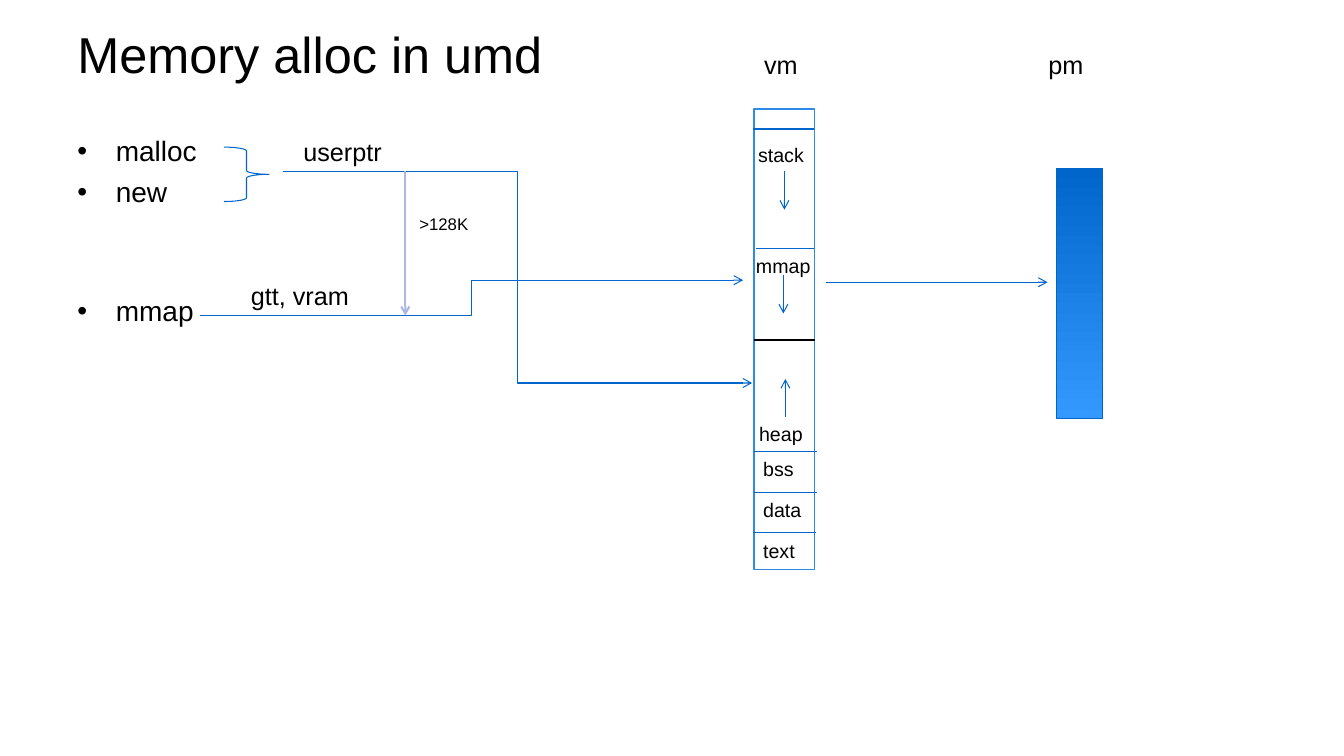
import pptx
import pptx.dml.color
import pptx.enum.shapes
import pptx.enum.text
import pptx.oxml
import pptx.oxml.ns
import pptx.util

Inches = pptx.util.Inches
Pt = pptx.util.Pt
SHAPE = pptx.enum.shapes.MSO_SHAPE
LINK = pptx.enum.shapes.MSO_CONNECTOR
ANCHOR = pptx.enum.text.MSO_ANCHOR
BLUE, BLACK = "0066CC", "000000"


def rgb(code):
    return pptx.dml.color.RGBColor.from_string(code)


def add_tag(parent, tag, **attrs):
    node = pptx.oxml.parse_xml(f"<{tag} {pptx.oxml.ns.nsdecls('a')}/>")
    for key, value in attrs.items():
        node.set(key, value)
    parent.append(node)


class Page:
    font = "Arial"

    def __init__(self, deck):
        self.shapes = deck.slides.add_slide(deck.slide_layouts[6]).shapes

    def frame(self, x, y, w, h, anchor=ANCHOR.TOP):
        box = self.shapes.add_textbox(Inches(x), Inches(y), Inches(w), Inches(h))
        box.text_frame.word_wrap = True
        box.text_frame.vertical_anchor = anchor
        return box.text_frame

    def add_text(self, para, text, size):
        run = para.add_run()
        run.text = text
        run.font.name = self.font
        run.font.size = Pt(size)
        run.font.color.rgb = rgb(BLACK)

    def label(self, text, x, y, w, h, size, anchor=ANCHOR.TOP):
        self.add_text(self.frame(x, y, w, h, anchor).paragraphs[0], text, size)

    def bullets(self, items, x, y, w, h, size):
        frame = self.frame(x, y, w, h)
        for i, (text, gap) in enumerate(items):
            para = frame.add_paragraph() if i else frame.paragraphs[0]
            props = para._p.get_or_add_pPr()
            props.set("marL", str(Inches(0.38)))
            props.set("indent", str(-Inches(0.38)))
            add_tag(props, "a:buFont", typeface=self.font)
            add_tag(props, "a:buChar", char="•")
            para.space_before = Pt(gap)
            self.add_text(para, text, size)

    def shape(self, kind, x, y, w, h, fill=(), line=BLUE, width=0.75):
        item = self.shapes.add_shape(kind, Inches(x), Inches(y), Inches(w), Inches(h))
        item.shadow.inherit = False
        if len(fill) > 1:
            item.fill.gradient()
            item.fill.gradient_angle = 270
            for stop, code in zip(item.fill.gradient_stops, fill):
                stop.color.rgb = rgb(code)
        elif fill:
            item.fill.solid()
            item.fill.fore_color.rgb = rgb(fill[0])
        else:
            item.fill.background()
        item.line.color.rgb = rgb(line)
        item.line.width = Pt(width)

    def line(self, x1, y1, x2, y2, color=BLUE, width=0.75, arrow=False,
             kind=LINK.STRAIGHT):
        item = self.shapes.add_connector(
            kind, Inches(x1), Inches(y1), Inches(x2), Inches(y2))
        item.line.color.rgb = rgb(color)
        item.line.width = Pt(width)
        if arrow:
            add_tag(item.line._get_or_add_ln(), "a:tailEnd", type="arrow")
        add_tag(item._element.spPr, "a:effectLst")


def main():
    deck = pptx.Presentation()
    deck.slide_width, deck.slide_height = Inches(13.33), Inches(7.5)
    page = Page(deck)

    # Title and calls
    page.label("Memory alloc in umd", 0.67, 0.21, 12, 0.64, 36, ANCHOR.MIDDLE)
    page.bullets([("malloc", 0), ("new", 5), ("mmap", 61)], 0.67, 1.28, 12, 5.42, 20)

    # Virtual and physical memory
    page.shape(SHAPE.RECTANGLE, 7.48, 1.08, 0.6, 4.57, ["FFFFFF"], "2D8AE7", 1)
    page.shape(SHAPE.RECTANGLE, 10.48, 1.67, 0.46, 2.48, [BLUE, "3399FF"])
    page.shape(SHAPE.RIGHT_BRACE, 2.22, 1.46, 0.45, 0.54)
    page.label("vm", 7.48, 0.44, 0.71, 0.4, 18)
    page.label("pm", 10.3, 0.44, 0.65, 0.4, 18)

    # Borders between segments
    for x, y, w in [(7.47, 1.28, 0.6), (7.5, 2.47, 0.57), (7.48, 4.48, 0.62),
                    (7.48, 4.89, 0.62), (7.47, 5.28, 0.62)]:
        page.line(x, y, x + w, y)
    page.line(7.48, 3.37, 8.08, 3.37, BLACK, 1.5)

    # Segment names
    for name, x, y, w in [("stack", 7.42, 1.37, 0.72), ("mmap", 7.4, 2.47, 0.77),
                          ("heap", 7.43, 4.14, 0.72), ("bss", 7.47, 4.48, 0.61),
                          ("data", 7.47, 4.89, 0.61), ("text", 7.47, 5.3, 0.61)]:
        page.label(name, x, y, w, 0.34, 14)

    # Growth of stack, mmap and heap
    for x, y, grow in [(7.78, 1.7, 0.38), (7.77, 2.73, 0.38), (7.79, 4.14, -0.38)]:
        page.line(x, y, x, y + grow, arrow=True)

    # Paths from calls to memory
    page.line(2.81, 1.7, 7.46, 3.8, arrow=True, kind=LINK.ELBOW)
    page.line(1.98, 3.13, 7.37, 2.78, arrow=True, kind=LINK.ELBOW)
    page.line(4.02, 1.7, 4.02, 3.13, "AAB8E2", 1.5, True)
    page.line(8.19, 2.8, 10.39, 2.8, arrow=True)
    page.label("gtt, vram", 2.39, 2.73, 1.44, 0.4, 18)
    page.label("userptr", 2.91, 1.3, 1.44, 0.4, 18)
    page.label(">128K", 4.06, 2.07, 0.75, 0.3, 12)

    deck.save("out.pptx")


if __name__ == "__main__":
    main()
